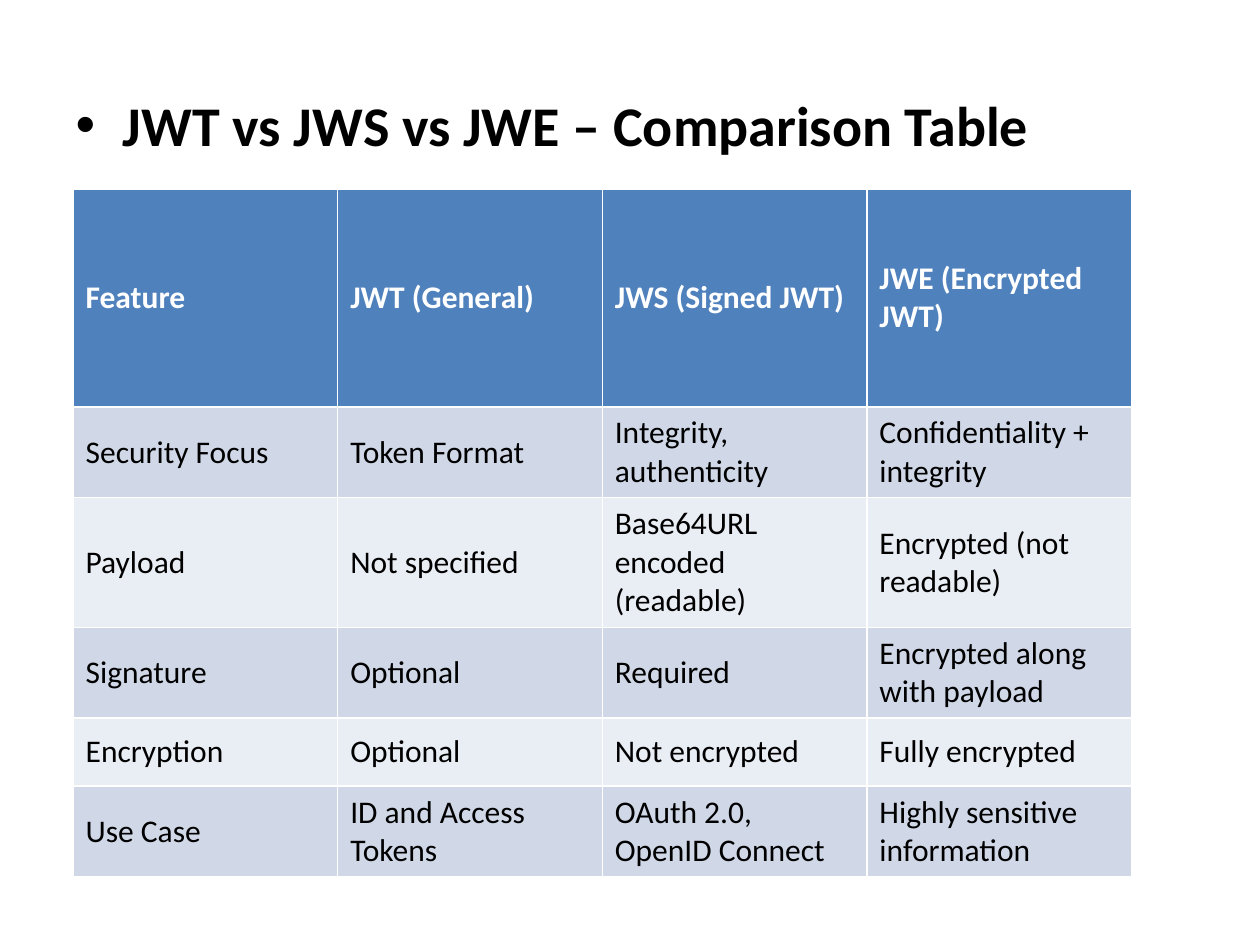
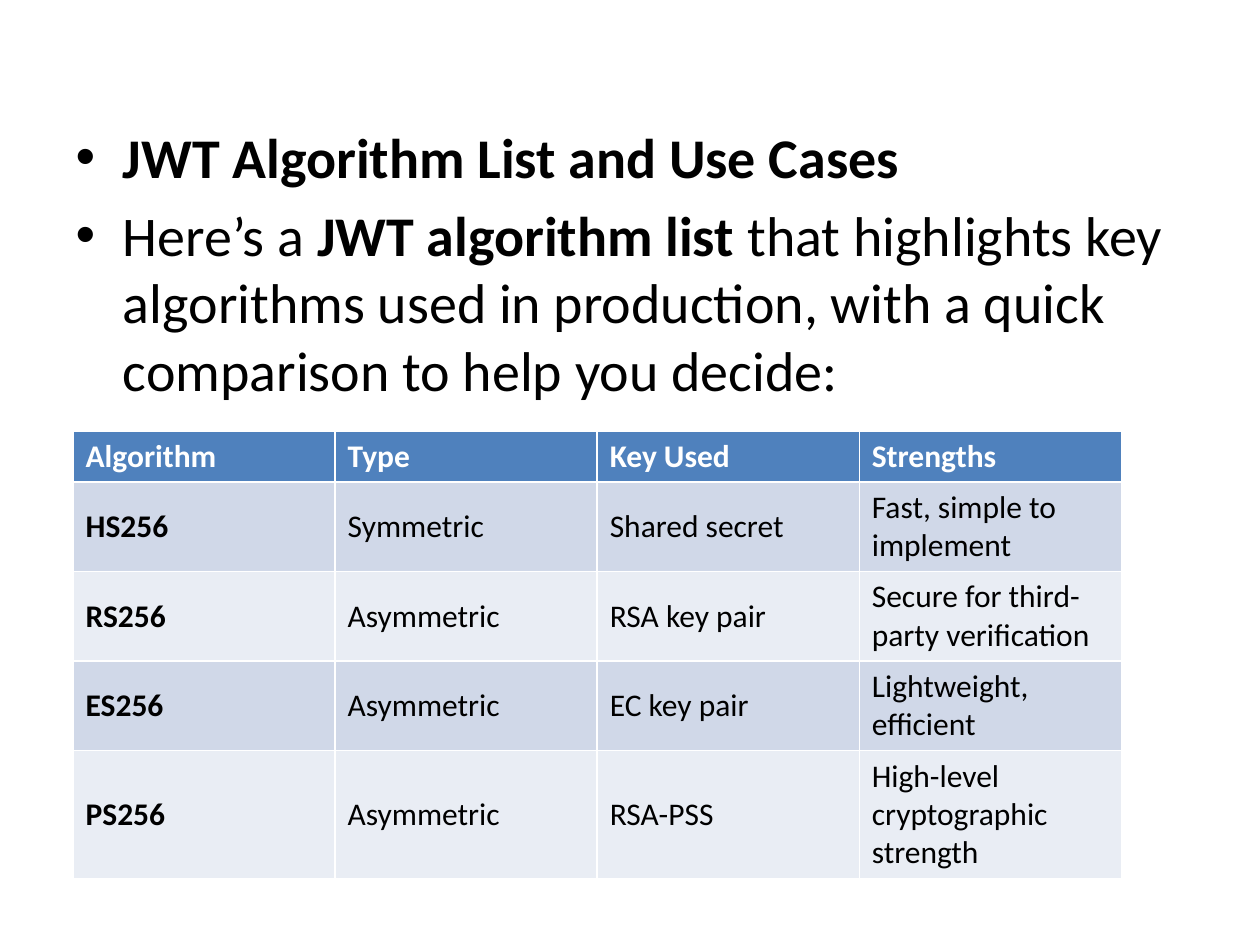
from pptx import Presentation
from pptx.dml.color import RGBColor
from pptx.enum import text
from pptx.util import Inches, Pt

FONT = "Calibri"
WHITE, BLACK = "FFFFFF", "000000"
HEADER_FILL = "4F81BD"
BAND_FILLS = ["D0D8E8", "E9EDF4"]
TABLE_LEFT = 0.58

SLIDES = [
    {
        "body_box": (0.5, 0.67, 9, 6.03),
        "bullets": [[("JWT vs JWS vs JWE – Comparison Table", True)]],
        "table_top": 1.5,
        "column_width": 2.1,
        "row_heights": [1.73, 0.72, 1.03, 0.72, 0.54, 0.72],
        "bold_first_column": False,
        "rows": [
            ("Feature", "JWT (General)", "JWS (Signed JWT)", "JWE (Encrypted JWT)"),
            ("Security Focus", "Token Format", "Integrity, authenticity", "Confidentiality + integrity"),
            ("Payload", "Not specified", "Base64URL encoded (readable)", "Encrypted (not readable)"),
            ("Signature", "Optional", "Required", "Encrypted along with payload"),
            ("Encryption", "Optional", "Not encrypted", "Fully encrypted"),
            ("Use Case", "ID and Access Tokens", "OAuth 2.0, OpenID Connect", "Highly sensitive information"),
        ],
    },
    {
        "body_box": (0.5, 0.92, 9, 5.78),
        "bullets": [
            [("JWT Algorithm List and Use Cases", True)],
            [
                ("Here’s a ", False),
                ("JWT algorithm list", True),
                (" that highlights key algorithms used in production, "
                 "with a quick comparison to help you decide:", False),
            ],
        ],
        "table_top": 3.42,
        "column_width": 2.08,
        "row_heights": [0.4, 0.71, 0.71, 0.71, 1.01],
        "bold_first_column": True,
        "rows": [
            ("Algorithm", "Type", "Key Used", "Strengths"),
            ("HS256", "Symmetric", "Shared secret", "Fast, simple to implement"),
            ("RS256", "Asymmetric", "RSA key pair", "Secure for third-party verification"),
            ("ES256", "Asymmetric", "EC key pair", "Lightweight, efficient"),
            ("PS256", "Asymmetric", "RSA-PSS", "High-level cryptographic strength"),
        ],
    },
]


def color(hex_value):
    return RGBColor.from_string(hex_value)


def add_run(paragraph, words, size, bold, hex_value):
    run = paragraph.add_run()
    run.text = words
    for name, value in {"name": FONT, "size": Pt(size), "bold": bold}.items():
        setattr(run.font, name, value)
    run.font.color.rgb = color(hex_value)


def fill_body(body, box, bullets):
    for name, value in zip(("left", "top", "width", "height"), box):
        setattr(body, name, Inches(value))
    frame = body.text_frame
    for index, pieces in enumerate(bullets):
        paragraph = frame.add_paragraph() if index else frame.paragraphs[0]
        if index == 0:
            paragraph.space_before = Pt(0)
        for words, bold in pieces:
            add_run(paragraph, words, 32, bold, BLACK)


def add_comparison(slide, content):
    rows, heights = content["rows"], content["row_heights"]
    columns = len(rows[0])
    width = content["column_width"]
    table = slide.shapes.add_table(
        len(rows), columns, Inches(TABLE_LEFT), Inches(content["table_top"]),
        Inches(width * columns), Inches(sum(heights))).table
    for column in table.columns:
        column.width = Inches(width)
    for r, (row, height) in enumerate(zip(rows, heights)):
        table.rows[r].height = Inches(height)
        header = r == 0
        for c, words in enumerate(row):
            cell = table.cell(r, c)
            cell.vertical_anchor = text.MSO_ANCHOR.MIDDLE
            cell.fill.solid()
            cell.fill.fore_color.rgb = color(HEADER_FILL if header else BAND_FILLS[(r - 1) % 2])
            bold = header or (c == 0 and content["bold_first_column"])
            add_run(cell.text_frame.paragraphs[0], words, 18, bold, WHITE if header else BLACK)


def main():
    deck = Presentation()
    deck.slide_width, deck.slide_height = Inches(10), Inches(7.5)
    for content in SLIDES:
        slide = deck.slides.add_slide(deck.slide_layouts[1])
        title, body = slide.placeholders
        title.element.getparent().remove(title.element)
        fill_body(body, content["body_box"], content["bullets"])
        add_comparison(slide, content)
    deck.save("out.pptx")


if __name__ == "__main__":
    main()
